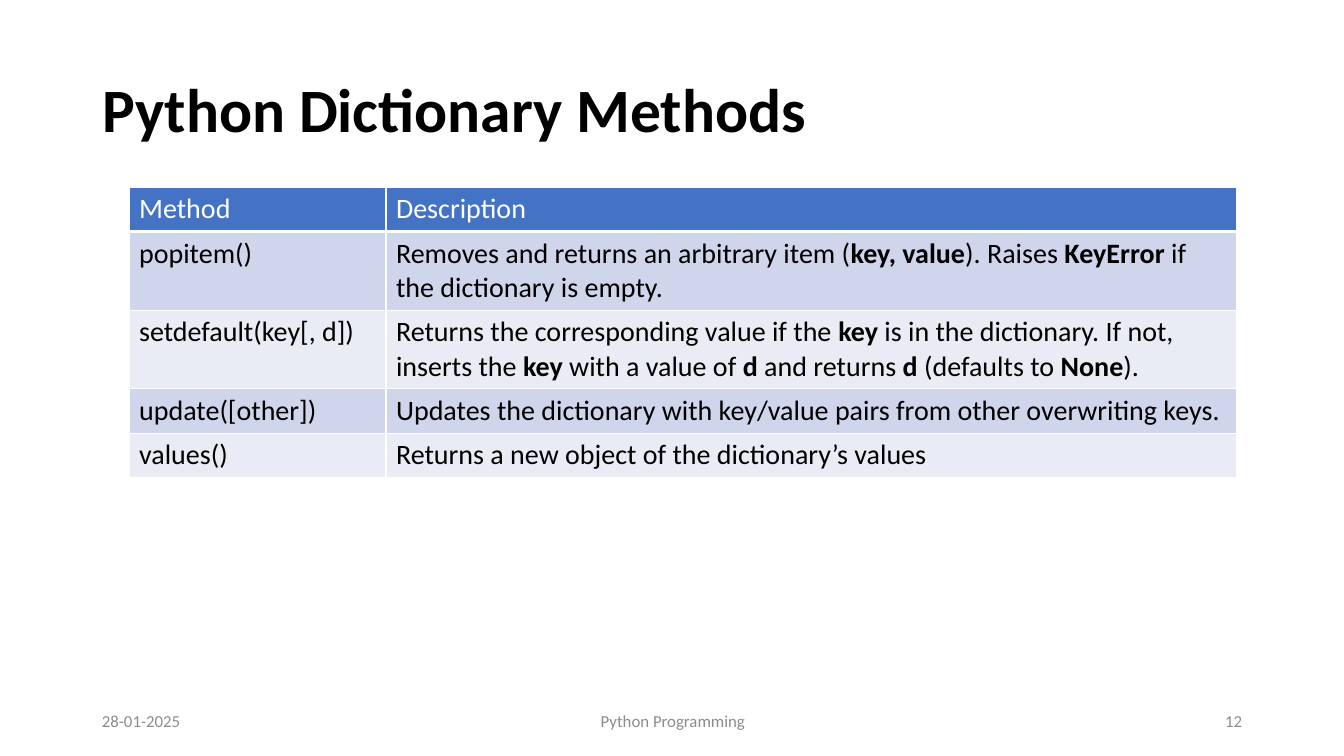
from dataclasses import dataclass

from lxml.etree import SubElement
from pptx import Presentation
from pptx.dml.color import RGBColor
from pptx.enum.text import MSO_ANCHOR as Anchor, PP_ALIGN as Align
from pptx.oxml.ns import qn
from pptx.slide import Slide
from pptx.table import _Cell as Cell
from pptx.text.text import TextFrame, _Paragraph as Paragraph
from pptx.util import Emu, Pt

SLIDE_W, SLIDE_H = 1344, 756
EMU_PER_PX = 12192000 / SLIDE_W
FONT = "Calibri"
COLORS = {
    "ink": "000000",
    "white": "FFFFFF",
    "header": "4472C4",
    "odd_band": "CFD5EA",
    "even_band": "E9EBF5",
    "footer": "8C8C8C",
}


@dataclass(frozen=True)
class Method:
    signature: str
    description: str
    height: int


@dataclass(frozen=True)
class FooterItem:
    text: str
    left: int
    width: int
    align: Align


HEADING = Method("Method", "Description", 44)
METHODS = [
    Method("popitem()", "Removes and returns an arbitrary item (*key, value*). "
           "Raises *KeyError* if the dictionary is empty.", 78),
    Method("setdefault(key[, d])", "Returns the corresponding value if the *key* is in the "
           "dictionary. If not, inserts the *key* with a value of *d* and returns *d* "
           "(defaults to *None*).", 78),
    Method("update([other])",
           "Updates the dictionary with key/value pairs from other overwriting keys.", 44),
    Method("values()", "Returns a new object of the dictionary’s values", 44),
]
COLUMN_WIDTHS = [257, 851]
FOOTER = [
    FooterItem("28-01-2025", 92, 302, Align.LEFT),
    FooterItem("Python Programming", 446, 454, Align.CENTER),
    FooterItem("12", 950, 302, Align.RIGHT),
]


def px(length: int) -> Emu:
    return Emu(round(length * EMU_PER_PX))


def rgb(color: str) -> RGBColor:
    return RGBColor.from_string(COLORS[color])


def add_run(paragraph: Paragraph, text: str, size: int, color: str, bold: bool = False) -> None:
    run = paragraph.add_run()
    run.text = text
    run.font.name = FONT
    run.font.size = Pt(size)
    run.font.bold = bold
    run.font.color.rgb = rgb(color)


def center_vertically(frame: TextFrame) -> None:
    frame.word_wrap = True
    frame.vertical_anchor = Anchor.MIDDLE


def add_title(slide: Slide) -> None:
    title = slide.shapes.title
    title.left, title.top, title.width, title.height = px(92), px(40), px(1159), px(146)
    center_vertically(title.text_frame)
    paragraph = title.text_frame.paragraphs[0]
    paragraph.alignment = Align.LEFT
    paragraph.line_spacing = 0.9
    add_run(paragraph, "Python Dictionary Methods", 44, "ink", True)


def add_borders(cell: Cell, bottom_width: int) -> None:
    properties = cell._tc.get_or_add_tcPr()
    for side, width in {"L": 1, "R": 1, "T": 1, "B": bottom_width}.items():
        line = SubElement(properties, qn(f"a:ln{side}"), w=str(Pt(width)))
        fill = SubElement(line, qn("a:solidFill"))
        SubElement(fill, qn("a:srgbClr"), val=COLORS["white"])


def fill_cell(cell: Cell, text: str, band: str) -> None:
    is_header = band == "header"
    add_borders(cell, 3 if is_header else 1)
    cell.fill.solid()
    cell.fill.fore_color.rgb = rgb(band)
    paragraph = cell.text_frame.paragraphs[0]
    for index, part in enumerate(text.split("*")):
        add_run(paragraph, part, 20, "white" if is_header else "ink", index % 2 == 1)


def add_methods_table(slide: Slide) -> None:
    entries = [HEADING, *METHODS]
    height = sum(entry.height for entry in entries)
    table = slide.shapes.add_table(len(entries), len(COLUMN_WIDTHS), px(129), px(187),
                                   px(sum(COLUMN_WIDTHS)), px(height)).table
    for column, width in zip(table.columns, COLUMN_WIDTHS):
        column.width = px(width)
    for index, entry in enumerate(entries):
        table.rows[index].height = px(entry.height)
        band = "header" if index == 0 else "odd_band" if index % 2 else "even_band"
        for column, text in enumerate((entry.signature, entry.description)):
            fill_cell(table.cell(index, column), text, band)


def add_footer_item(slide: Slide, item: FooterItem) -> None:
    box = slide.shapes.add_textbox(px(item.left), px(701), px(item.width), px(40))
    center_vertically(box.text_frame)
    paragraph = box.text_frame.paragraphs[0]
    paragraph.alignment = item.align
    add_run(paragraph, item.text, 12, "footer")


def main() -> None:
    deck = Presentation()
    deck.slide_width, deck.slide_height = px(SLIDE_W), px(SLIDE_H)
    slide = deck.slides.add_slide(deck.slide_layouts.get_by_name("Title Only"))
    add_title(slide)
    add_methods_table(slide)
    for item in FOOTER:
        add_footer_item(slide, item)
    deck.save("out.pptx")


if __name__ == "__main__":
    main()
